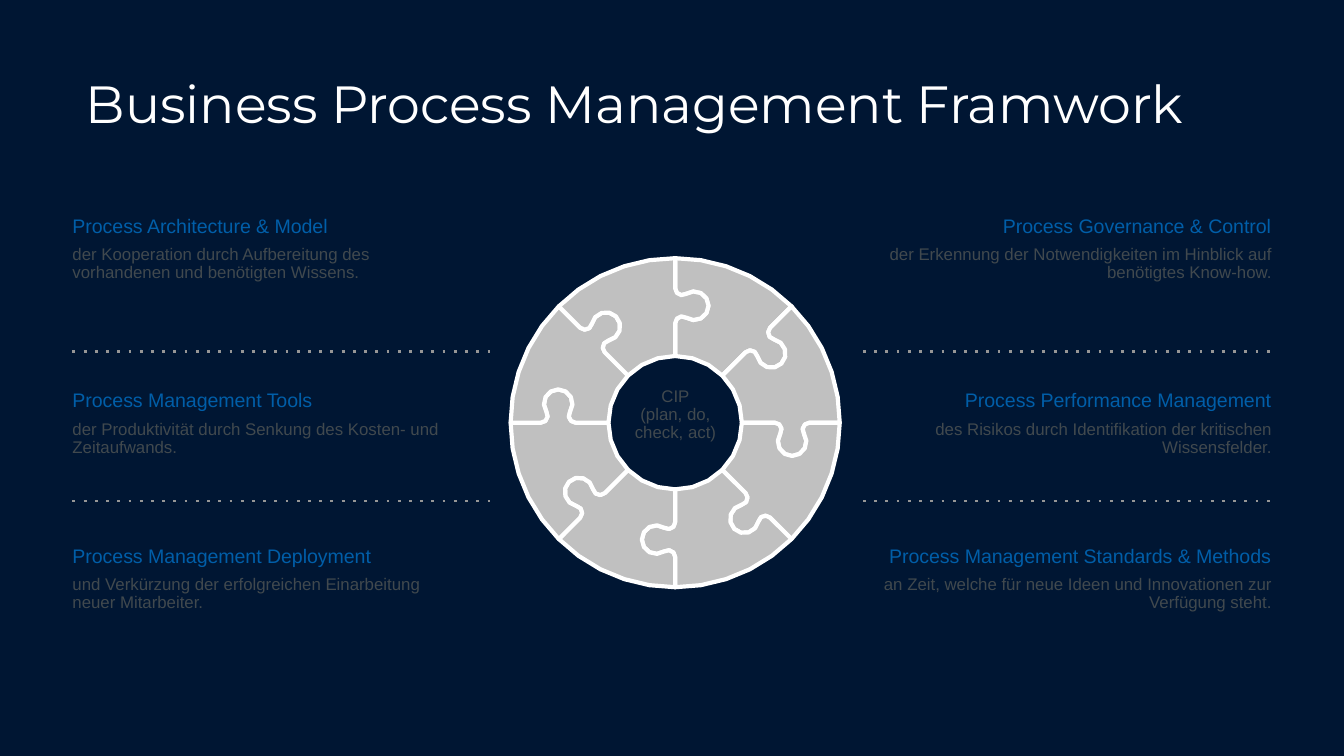
from math import atan2, cos, degrees, pi, radians, sin

from lxml.etree import SubElement
from pptx import Presentation
from pptx.dml.color import RGBColor
from pptx.enum.shapes import MSO_CONNECTOR
from pptx.enum.text import MSO_ANCHOR, MSO_AUTO_SIZE, PP_ALIGN
from pptx.oxml.ns import qn
from pptx.util import Cm, Pt

NAVY, WHITE, BLUE = "001633", "FFFFFF", "005EA8"
TEXT_GREY, RING_GREY, DOT_GREY = "41494E", "C0C0C0", "969696"
LEFT_EDGE, RIGHT_EDGE = 1.37, 24.03
PIECES = 8


def paint(target, color):
    """Give a fill a solid colour, or a font its colour."""
    if hasattr(target, "solid"):
        target.solid()
        target.fore_color.rgb = RGBColor.from_string(color)
    else:
        target.color.rgb = RGBColor.from_string(color)


def add_span(para, text, size, color, font="Arial"):
    """Append one formatted run."""
    span = para.add_run()
    span.text = text
    span.font.name, span.font.size = font, Pt(size)
    paint(span.font, color)


def add_title(page, box, text):
    """Place the title placeholder in its box."""
    title = page.shapes.title
    title.left, title.top, title.width, title.height = map(Cm, box)
    frame = title.text_frame
    frame.auto_size = MSO_AUTO_SIZE.NONE
    frame.word_wrap = True
    frame.vertical_anchor = MSO_ANCHOR.MIDDLE
    frame.margin_left = frame.margin_right = Cm(0.25)
    frame.margin_top = frame.margin_bottom = Cm(0.25)
    para = frame.paragraphs[0]
    para.alignment = PP_ALIGN.LEFT
    add_span(para, text, 28, WHITE, "Montserrat")


def add_frame(page, box, anchor):
    """Add a wrapping text box without margins and return its frame."""
    frame = page.shapes.add_textbox(*map(Cm, box)).text_frame
    frame.word_wrap = True
    frame.auto_size = MSO_AUTO_SIZE.SHAPE_TO_FIT_TEXT
    frame.vertical_anchor = anchor
    frame.margin_left = frame.margin_right = 0
    frame.margin_top = frame.margin_bottom = 0
    return frame


def add_topic(page, box, heading, detail, alignment, anchor):
    """Add a blue heading with its grey description."""
    frame = add_frame(page, box, anchor)
    head, body = frame.paragraphs[0], frame.add_paragraph()
    for para in (head, body):
        para.alignment, para.line_spacing = alignment, 0.9
    body.space_before = Pt(4.5)
    add_span(head, heading, 10.5, BLUE)
    add_span(body, detail, 9, TEXT_GREY)


def add_divider(page, left, right, y):
    """Draw a dotted horizontal line."""
    divider = page.shapes.add_connector(
        MSO_CONNECTOR.STRAIGHT, Cm(left), Cm(y), Cm(right), Cm(y))
    divider.line.width = Pt(1.5)
    paint(divider.line.fill, DOT_GREY)
    properties = divider._element.spPr
    SubElement(properties.find(qn("a:ln")), qn("a:prstDash"), val="dot")
    SubElement(properties, qn("a:effectLst"))


def arc(x, y, radius, start, end, steps):
    """Return points on an arc between two angles in degrees."""
    angles = [radians(start + (end - start) * i / steps) for i in range(steps + 1)]
    return [(x + radius * cos(a), y + radius * sin(a)) for a in angles]


def joint(outer, inner):
    """Return an upright puzzle joint, from the rim to the hole."""
    knob_x, knob_y, knob = 0.36, 2.21, 0.27
    fillet, rise = 0.13, 0.33
    lean = degrees(atan2(rise, knob_x - fillet))
    return [
        (0, outer),
        *arc(fillet, knob_y + rise, fillet, 180, 360 - lean, 3),
        *arc(knob_x, knob_y, knob, 180 - lean, lean - 180, 8)[1:-1],
        *arc(fillet, knob_y - rise, fillet, lean, 180, 3),
        (0, inner),
    ]


def turn(points, index):
    """Turn points clockwise by a number of pieces."""
    angle = 2 * pi * index / PIECES
    return [(x * cos(angle) + y * sin(angle), y * cos(angle) - x * sin(angle))
            for x, y in points]


def add_ring(page, box):
    """Build the puzzle ring and its caption inside a square box."""
    left, top, size = box
    outer, inner = size / 2, 1.26
    center_x, center_y = left + outer, top + outer
    seam = joint(outer, inner)
    sector = 360 / PIECES
    outline = (seam + arc(0, 0, inner, 90, 90 - sector, 3)[1:-1]
               + turn(seam, 1)[::-1] + arc(0, 0, outer, 90 - sector, 90, 5)[1:-1])
    ring = page.shapes.add_group_shape()
    for index in range(PIECES):
        points = [(Cm(center_x + x), Cm(center_y - y)) for x, y in turn(outline, index)]
        builder = ring.shapes.build_freeform(*points[0])
        builder.add_line_segments(points[1:], close=True)
        piece = builder.convert_to_shape()
        piece.shadow.inherit = False
        paint(piece.fill, RING_GREY)
        paint(piece.line.fill, WHITE)
        piece.line.width = Pt(2.25)
    caption = add_frame(page, (center_x - 0.82, center_y - 0.67, 1.65, 1.04),
                        MSO_ANCHOR.BOTTOM)
    para = caption.paragraphs[0]
    para.alignment, para.line_spacing = PP_ALIGN.CENTER, 0.9
    add_span(para, "CIP", 9, TEXT_GREY)
    para.add_line_break()
    add_span(para, "(plan, do, check, act)", 9, TEXT_GREY)


def add_column(page, left, widths, topics, alignment):
    """Stack three topics in a column."""
    tops = (4.09, 7.37, 10.31)
    anchors = (MSO_ANCHOR.TOP, MSO_ANCHOR.BOTTOM, MSO_ANCHOR.BOTTOM)
    for top, width, anchor, (heading, detail) in zip(tops, widths, anchors, topics):
        add_topic(page, (left, top, width, 1.27), heading, detail, alignment, anchor)


def main():
    """Build and save the deck."""
    deck = Presentation()
    deck.slide_width, deck.slide_height = Cm(25.4), Cm(14.29)
    page = deck.slides.add_slide(deck.slide_layouts[5])
    paint(page.background.fill, NAVY)
    add_title(page, (LEFT_EDGE, 1.09, 22.66, 1.7), "Business Process Management Framwork")
    add_ring(page, (9.65, 4.88, 6.22))
    add_column(page, LEFT_EDGE, (7.24, 7.44, 7.44), (
        ("Process Architecture & Model",
         "der Kooperation durch Aufbereitung des vorhandenen und benötigten Wissens."),
        ("Process Management Tools",
         "der Produktivität durch Senkung des Kosten- und Zeitaufwands."),
        ("Process Management Deployment",
         "und Verkürzung der erfolgreichen Einarbeitung neuer Mitarbeiter."),
    ), PP_ALIGN.LEFT)
    add_column(page, RIGHT_EDGE - 7.65, (7.65,) * 3, (
        ("Process Governance & Control",
         "der Erkennung der Notwendigkeiten im Hinblick auf benötigtes Know-how."),
        ("Process Performance Management",
         "des Risikos durch Identifikation der kritischen Wissensfelder."),
        ("Process Management Standards & Methods",
         "an Zeit, welche für neue Ideen und Innovationen zur Verfügung steht."),
    ), PP_ALIGN.RIGHT)
    for y in (6.65, 9.47):
        add_divider(page, LEFT_EDGE, 9.27, y)
        add_divider(page, 16.31, RIGHT_EDGE, y)
    deck.save("out.pptx")


if __name__ == "__main__":
    main()
